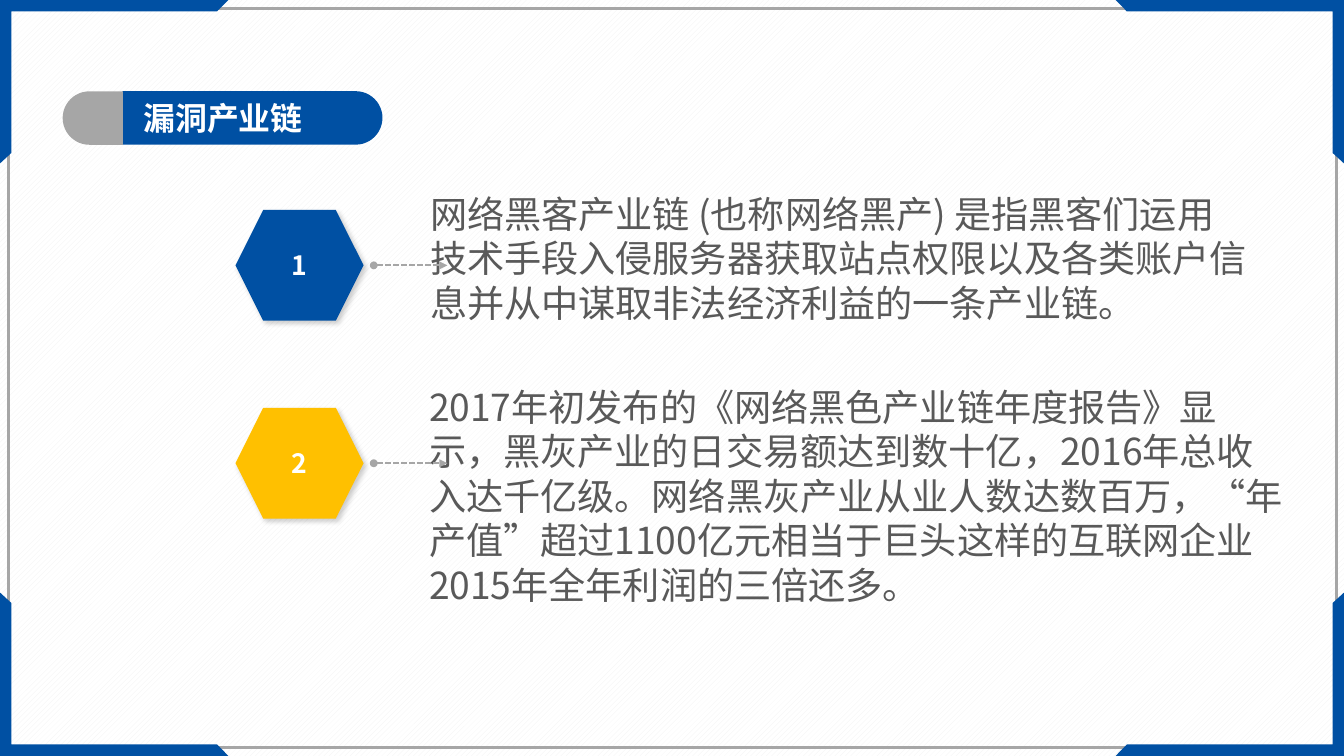
"""Build the slide on the vulnerability industry chain."""
from dataclasses import dataclass

from lxml.etree import SubElement
from pptx import Presentation
from pptx.dml.color import RGBColor
from pptx.enum.dml import MSO_LINE, MSO_PATTERN
from pptx.enum.shapes import MSO_CONNECTOR, MSO_SHAPE
from pptx.enum.text import MSO_ANCHOR, MSO_AUTO_SIZE, PP_ALIGN
from pptx.oxml import parse_xml
from pptx.oxml.ns import nsdecls, qn
from pptx.util import Inches, Pt


@dataclass(frozen=True)
class Theme:
    blue: RGBColor = RGBColor(0x00, 0x50, 0xA3)
    yellow: RGBColor = RGBColor(0xFF, 0xC0, 0x00)
    gray: RGBColor = RGBColor(0xA6, 0xA6, 0xA6)
    text: RGBColor = RGBColor(0x59, 0x59, 0x59)
    white: RGBColor = RGBColor(0xFF, 0xFF, 0xFF)
    stripe: RGBColor = RGBColor(0xF2, 0xF2, 0xF2)
    title_size: Pt = Pt(24)
    body_size: Pt = Pt(28)
    body_leading: Pt = Pt(33.5)
    number_size: Pt = Pt(20)
    title_font: str = "Times New Roman"
    font: str = "Noto Sans CJK SC"


theme = Theme()
presentation = Presentation()
presentation.slide_width = Inches(14.06)
presentation.slide_height = Inches(7.91)
slide = presentation.slides.add_slide(presentation.slide_layouts[3])


def share(*percents):
    """Turn alternating horizontal and vertical percents of the slide into lengths."""
    sides = (presentation.slide_width, presentation.slide_height)
    return [int(sides[index % 2] * percent / 100) for index, percent in enumerate(percents)]


def write(shape, text, size, color, font, bold=False, align=PP_ALIGN.LEFT):
    """Put one formatted run into a shape and return its paragraph."""
    frame = shape.text_frame
    frame.word_wrap = True
    frame.auto_size = MSO_AUTO_SIZE.NONE
    frame.vertical_anchor = MSO_ANCHOR.MIDDLE
    paragraph = frame.paragraphs[0]
    paragraph.alignment = align
    paragraph.space_before = Pt(0)
    run = paragraph.add_run()
    run.text = text
    run.font.size = size
    run.font.bold = bold
    run.font.name = font
    run.font.color.rgb = color
    SubElement(run.font._element, qn("a:ea")).set("typeface", theme.font)
    return paragraph


background = slide.background.fill
background.patterned()
background.pattern = MSO_PATTERN.WIDE_UPWARD_DIAGONAL
background.fore_color.rgb = theme.stripe
background.back_color.rgb = theme.white

border = slide.shapes.add_shape(MSO_SHAPE.RECTANGLE, *share(0.64, 1.14, 98.79, 97.72))
border.shadow.inherit = False
border.fill.background()
border.line.color.rgb = theme.gray
border.line.width = Pt(2)

corner_outline = [(0, 0), (17, 0), (16.15, 1.52), (0.85, 1.52), (0.85, 20.23), (0, 21.62)]
for right, bottom in [(False, False), (True, False), (False, True), (True, True)]:
    points = [share(100 - x if right else x, 100 - y if bottom else y) for x, y in corner_outline]
    builder = slide.shapes.build_freeform(*points[0])
    builder.add_line_segments(points[1:], close=True)
    corner = builder.convert_to_shape()
    corner.shadow.inherit = False
    corner.fill.solid()
    corner.fill.fore_color.rgb = theme.blue
    corner.line.fill.background()

title_caps = [
    ((16.79, -1.6, 3.98, 34.39), 90, theme.blue),
    ((4.91, 11.63, 3.98, 7.96), 270, theme.gray),
]
for area, rotation, color in title_caps:
    cap = slide.shapes.add_shape(MSO_SHAPE.ROUND_2_SAME_RECTANGLE, *share(*area))
    cap.adjustments[0] = 0.5
    cap.adjustments[1] = 0
    cap.rotation = rotation
    cap.shadow.inherit = False
    cap.fill.solid()
    cap.fill.fore_color.rgb = color
    cap.line.fill.background()

title = slide.shapes.title
title.left, title.top, title.width, title.height = share(9.6, 12.01, 19.77, 7.08)
title.text_frame.margin_left = title.text_frame.margin_right = Inches(0.15)
write(title, "漏洞产业链", theme.title_size, theme.white, theme.title_font, bold=True)
title.element.getparent().append(title.element)

items = [
    (theme.blue, (31.29, 24.4, 62.45, 19.47),
     "网络黑客产业链 (也称网络黑产) 是指黑客们运用技术手段入侵服务器获取站点权限"
     "以及各类账户信息并从中谋取非法经济利益的一条产业链。"),
    (theme.yellow, (31.22, 50, 65.29, 31.1),
     "2017年初发布的《网络黑色产业链年度报告》显示，黑灰产业的日交易额达到数十亿，"
     "2016年总收入达千亿级。网络黑灰产业从业人数达数百万，“年产值”超过1100亿元"
     "相当于巨头这样的互联网企业2015年全年利润的三倍还多。"),
]
first_row, row_pitch, hexagon_height = 35.1, 26.17, 14.66
for number, (color, area, text) in enumerate(items, start=1):
    middle = first_row + (number - 1) * row_pitch
    hexagon = slide.shapes.add_shape(
        MSO_SHAPE.HEXAGON, *share(17.52, middle - hexagon_height / 2, 9.53, hexagon_height))
    hexagon.fill.solid()
    hexagon.fill.fore_color.rgb = color
    hexagon.line.fill.background()
    hexagon.shadow.inherit = False
    hexagon.element.spPr.find(qn("a:effectLst")).append(parse_xml(
        f'<a:outerShdw {nsdecls("a")} blurRad="50800" dist="38100" dir="2700000">'
        '<a:srgbClr val="000000"><a:alpha val="20000"/></a:srgbClr></a:outerShdw>'))
    write(hexagon, str(number), theme.number_size, theme.white, theme.font,
          bold=True, align=PP_ALIGN.CENTER)

    body = slide.placeholders[number]
    body.left, body.top, body.width, body.height = share(*area)
    paragraph = write(body, text, theme.body_size, theme.text, theme.font)
    paragraph.line_spacing = theme.body_leading
    properties = paragraph._p.get_or_add_pPr()
    for name in ("marL", "indent", "hangingPunct"):
        properties.set(name, "0")
    SubElement(properties, qn("a:buNone"))

    arrow = slide.shapes.add_connector(
        MSO_CONNECTOR.STRAIGHT, *share(27.81, middle, 33.29, middle))
    arrow.line.color.rgb = theme.gray
    arrow.line.width = Pt(1.5)
    arrow.line.dash_style = MSO_LINE.SQUARE_DOT
    outline = arrow.line._get_or_add_ln()
    SubElement(outline, qn("a:headEnd")).set("type", "oval")
    SubElement(outline, qn("a:tailEnd")).set("type", "triangle")
    SubElement(arrow.element.spPr, qn("a:effectLst"))

presentation.save("out.pptx")
